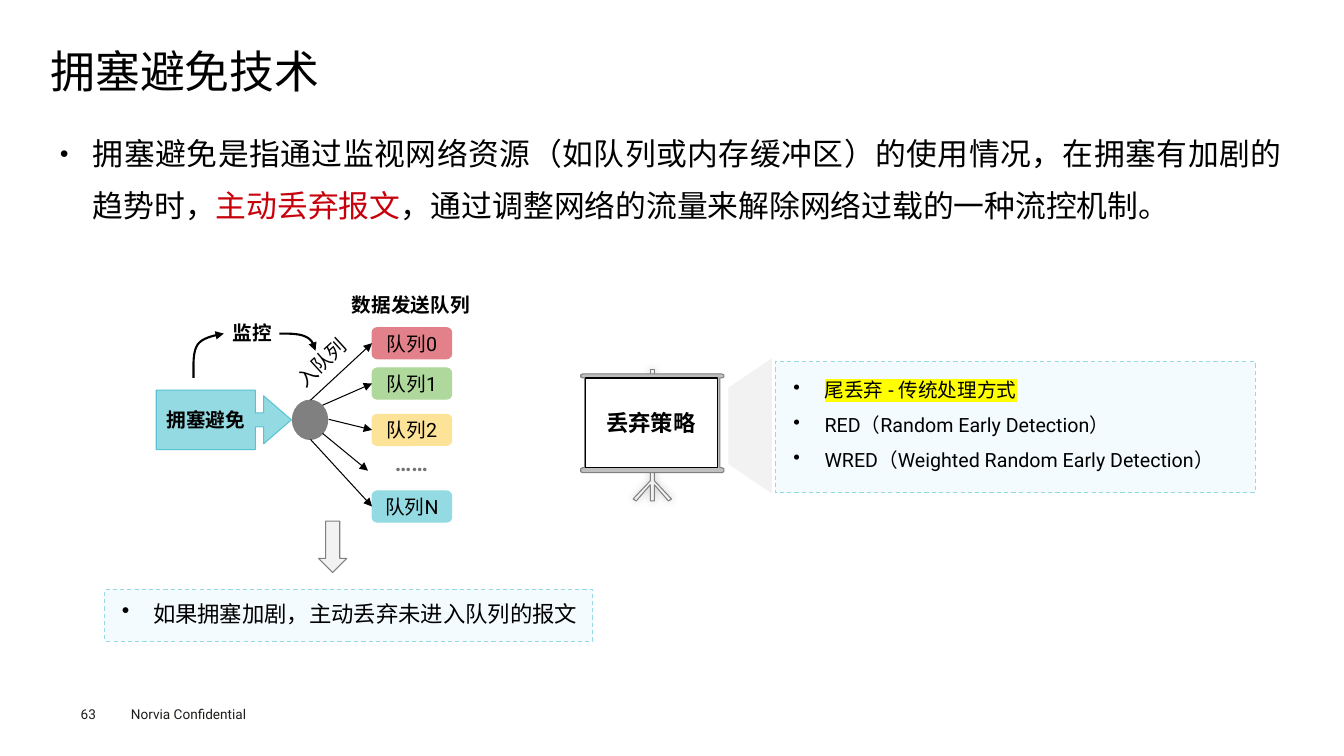
from lxml.etree import SubElement
from pptx import Presentation
from pptx.dml.color import RGBColor
from pptx.enum.dml import MSO_LINE
from pptx.enum.shapes import MSO_CONNECTOR, MSO_SHAPE
from pptx.enum.text import MSO_ANCHOR, MSO_AUTO_SIZE, PP_ALIGN
from pptx.oxml.ns import qn
from pptx.util import Inches, Pt

COLS, ROWS = 133.3, 75
BLACK, GREY, PALE, CYAN = "000000", "808080", "F2F2F2", "94DAE2"
LEFT, CENTER, JUSTIFY = PP_ALIGN.LEFT, PP_ALIGN.CENTER, PP_ALIGN.JUSTIFY
TOP, MIDDLE = MSO_ANCHOR.TOP, MSO_ANCHOR.MIDDLE


def rgb(color):
    return RGBColor.from_string(color)


def bezier(p0, p1, p2, p3, steps=12):
    """Points along a cubic curve, without its first one."""
    points = []
    for i in range(1, steps + 1):
        t = i / steps
        u = 1 - t
        points.append(tuple(u**3 * a + 3 * u * u * t * b + 3 * u * t * t * c + t**3 * d
                            for a, b, c, d in zip(p0, p1, p2, p3)))
    return points


def mirrored(half, axis):
    """Outline made of a left half and its reflection about a vertical axis."""
    return half + [(2 * axis - x, y) for x, y in reversed(half)]


class SlideBuilder:
    font = "Roboto"

    def __init__(self, prs):
        self.slide = prs.slides.add_slide(prs.slide_layouts[1])
        self.shapes = self.slide.shapes
        self.col = prs.slide_width / COLS
        self.row = prs.slide_height / ROWS

    def place(self, *cells):
        """Turn alternating columns and rows into slide lengths."""
        units = (self.col, self.row) * (len(cells) // 2)
        return [round(n * unit) for n, unit in zip(cells, units)]

    def outline(self, sp, color, width=0.75, dash=False, arrow=False):
        if color is None:
            sp.line.fill.background()
            return
        sp.line.color.rgb = rgb(color)
        sp.line.width = Pt(width)
        if dash:
            sp.line.dash_style = MSO_LINE.DASH
        if arrow:
            ln = sp._element.spPr.find(qn("a:ln"))
            SubElement(ln, qn("a:tailEnd"), type="triangle")

    def bullet(self, p, char, indent, share):
        pPr = p._p.get_or_add_pPr()
        pPr.set("marL", str(Inches(indent)))
        pPr.set("indent", str(-Inches(indent)))
        SubElement(pPr, qn("a:buSzPct"), val=str(share * 1000))
        SubElement(pPr, qn("a:buChar"), char=char)

    def run(self, p, text, size, bold=False, color=BLACK, highlight=None):
        r = p.add_run()
        r.text = text
        r.font.size = Pt(size)
        r.font.bold = bold
        r.font.color.rgb = rgb(color)
        rPr = r._r.get_or_add_rPr()
        if highlight:
            SubElement(SubElement(rPr, qn("a:highlight")), qn("a:srgbClr"), val=highlight)
        r.font.name = self.font
        SubElement(rPr, qn("a:ea"), typeface=self.font)

    def fill_text(self, sp, paragraphs, size, align=CENTER, anchor=MIDDLE, wrap=True,
                  insets=(0.1, 0.05), spacing=1.0, gap=0, bullet=None, **style):
        """Fill a shape; each paragraph is a list of (text, run style) pairs."""
        tf = sp.text_frame
        tf.auto_size = MSO_AUTO_SIZE.NONE
        tf.word_wrap = wrap
        tf.vertical_anchor = anchor
        tf.margin_left = tf.margin_right = Inches(insets[0])
        tf.margin_top = tf.margin_bottom = Inches(insets[1])
        for i, runs in enumerate(paragraphs):
            p = tf.add_paragraph() if i else tf.paragraphs[0]
            p.alignment = align
            p.line_spacing = spacing
            p.space_before = Pt(gap if i else 0)
            p.space_after = Pt(gap)
            if bullet:
                self.bullet(p, *bullet)
            for text, own in runs:
                self.run(p, text, size, **{**style, **own})

    def placeholder(self, index, cells, runs, size, **style):
        sp = self.slide.placeholders[index]
        sp.left, sp.top, sp.width, sp.height = self.place(*cells)
        self.fill_text(sp, [runs], size, anchor=TOP, **style)

    def label(self, cells, text, size, rotation=0, **style):
        sp = self.shapes.add_textbox(*self.place(*cells))
        sp.rotation = rotation
        self.fill_text(sp, [[(text, {})]], size, **style)

    def bullets(self, cells, paragraphs, size):
        sp = self.shapes.add_textbox(*self.place(*cells))
        self.fill_text(sp, paragraphs, size, align=LEFT, spacing=1.25, gap=2,
                       bullet=("•", 0.31, 100))

    def shape(self, kind, cells, fill, line=None, adjust=(), dash=False):
        sp = self.shapes.add_shape(kind, *self.place(*cells))
        sp.shadow.inherit = False
        sp.fill.solid()
        sp.fill.fore_color.rgb = rgb(fill)
        self.outline(sp, line, dash=dash)
        for i, value in enumerate(adjust):
            sp.adjustments[i] = value
        return sp

    def panel(self, cells):
        return self.shape(MSO_SHAPE.RECTANGLE, cells, "F4FBFE", CYAN, dash=True)

    def freeform(self, contours, fill=None, line=GREY, **stroke):
        """Closed outlines when filled, an open path otherwise."""
        builder = None
        for contour in contours:
            start, *rest = [self.place(*point) for point in contour]
            if builder:
                builder.move_to(*start)
            else:
                builder = self.shapes.build_freeform(*start)
            builder.add_line_segments(rest, close=fill is not None)
        sp = builder.convert_to_shape()
        sp.shadow.inherit = False
        if fill:
            sp.fill.solid()
            sp.fill.fore_color.rgb = rgb(fill)
        else:
            sp.fill.background()
        self.outline(sp, line, **stroke)
        return sp

    def arrow(self, start, end, target=None):
        """Straight arrow, joined to the left side of a target if given."""
        cx = self.shapes.add_connector(MSO_CONNECTOR.STRAIGHT, *self.place(*start, *end))
        if target is not None:
            cx.end_connect(target, 1)
        self.outline(cx, BLACK, arrow=True)
        SubElement(cx._element.spPr, qn("a:effectLst"))

    def soft_shadow(self, sp):
        effects = sp._element.spPr.find(qn("a:effectLst"))
        shadow = SubElement(effects, qn("a:outerShdw"), blurRad=str(Pt(6)), dist="0",
                            dir=str(225 * 60000))
        color = SubElement(shadow, qn("a:srgbClr"), val=BLACK)
        SubElement(color, qn("a:alpha"), val="20000")


def draw_queues(s):
    s.shape(MSO_SHAPE.OVAL, (29, 39.7, 3.5, 3.9), GREY, GREY)
    queues = [("队列0", "E28189", 32.5, (30.8, 39.7)), ("队列1", "AFD89C", 36.5, (32, 40.2)),
              ("队列2", "FDE397", 41.1, (32.6, 41.6)), ("队列N", CYAN, 48.7, (30.8, 43.6))]
    for name, color, top, start in queues:
        sp = s.shape(MSO_SHAPE.ROUNDED_RECTANGLE, (36.9, top, 7.9, 3.1), color, color)
        s.fill_text(sp, [[(name, {})]], 14)
        s.arrow(start, (36.9, top + 1.55), sp)
    s.label((38.1, 44, 5.4, 3.7), "……", 16, wrap=False, bold=True, color="767171")
    s.arrow((32, 43), (36.5, 46.7))

    sp = s.shape(MSO_SHAPE.RIGHT_ARROW_CALLOUT, (15.5, 38.7, 13.4, 5.9), CYAN, "56C4D2",
                 (0.233, 0.404, 0.467, 0.733))
    s.fill_text(sp, [[("拥塞避免", {})]], 14, bold=True)
    s.label((28, 34.3, 7.8, 3.3), "入队列", 14, rotation=317.5, wrap=False)
    s.label((22.1, 31.4, 5.9, 3.3), "监控", 14, wrap=False, bold=True)
    s.label((33.9, 28.6, 13.7, 3.3), "数据发送队列", 14, wrap=False, bold=True)

    monitor_curves = [
        [(19.2, 37.5), (19.2, 36.2), (19.1, 35), (19.6, 34.2), (20.1, 33.5), (21.2, 33.3), (22.2, 33.1)],
        [(27.7, 33.1), (28.7, 33.1), (29.7, 33.1), (30.3, 33.4), (31, 33.7), (31.1, 34.2), (31.3, 34.8)],
    ]
    for knots in monitor_curves:
        curve = knots[:1] + bezier(*knots[:4]) + bezier(*knots[3:])
        s.freeform([curve], line=BLACK, width=1.5, arrow=True)

    s.panel((10.4, 58.5, 48.4, 5.1))
    s.bullets((11.1, 58.4, 47.6, 4.3), [[("如果拥塞加剧，主动丢弃未进入队列的报文", {})]], 16)
    s.shape(MSO_SHAPE.DOWN_ARROW, (31.6, 51.7, 2.8, 5.1), PALE, GREY)


def draw_policies(s):
    s.panel((76.9, 35.9, 47.6, 13))
    s.bullets((77.7, 36.4, 45.7, 10.9), [
        [("尾丢弃 - 传统处理方式", {"highlight": "FFFF00"})],
        [("RED（Random Early Detection）", {})],
        [("WRED（Weighted Random Early Detection）", {})],
    ], 14)
    beam = s.shape(MSO_SHAPE.TRAPEZOID, (67.7, 40.1, 13.4, 4.3), PALE, adjust=(0.677,))
    beam.rotation = 270

    axis = 64.7
    knob = [(64.5, 37.4), (64.5, 36.7)]
    legs = [(64.5, 49.7), (64.5, 48.1), (63.1, 49.7), (62.8, 49.5), (64.5, 47.7), (64.5, 45.8)]
    frame = [(57.8, 46.9), (57.6, 46.8), (57.6, 46.5), (57.8, 46.4), (58, 46.4),
             (58, 37.5), (57.8, 37.5), (57.6, 37.4), (57.6, 37.2), (57.8, 37.1)]
    s.soft_shadow(s.freeform([mirrored(knob, axis), mirrored(legs, axis)], PALE))
    s.freeform([mirrored(frame, axis)], "BFBFBF")
    s.shape(MSO_SHAPE.RECTANGLE, (58.1, 37.5, 13.1, 8.9), "FFFFFF", BLACK)
    s.label((58.8, 40.5, 11.5, 2.9), "丢弃策略", 16, bold=True)


def main():
    prs = Presentation()
    prs.slide_width, prs.slide_height = Inches(13.33), Inches(7.5)
    s = SlideBuilder(prs)
    s.placeholder(0, (5, 4.9, 123.1, 5.3), [("拥塞避免技术", {})], 32,
                  align=LEFT, insets=(0, 0), spacing=0.9)
    s.placeholder(1, (5, 11.5, 123.1, 53.4), [
        ("拥塞避免是指通过监视网络资源（如队列或内存缓冲区）的使用情况，在拥塞有加剧的趋势时，", {}),
        ("主动丢弃报文", {"color": "C7000B"}),
        ("，通过调整网络的流量来解除网络过载的一种流控机制。", {}),
    ], 22, align=JUSTIFY, insets=(0.09, 0.04), spacing=1.4, bullet=("●", 0.33, 50))
    draw_queues(s)
    draw_policies(s)
    footer = {"align": LEFT, "anchor": TOP, "color": "1D1D1B"}
    s.label((12, 69.5, 16, 2.7), "Norvia Confidential", 9.7, **footer)
    s.label((8, 70, 5.5, 1.6), "63", 9.7, insets=(0, 0), **footer)
    prs.save("out.pptx")


if __name__ == "__main__":
    main()
